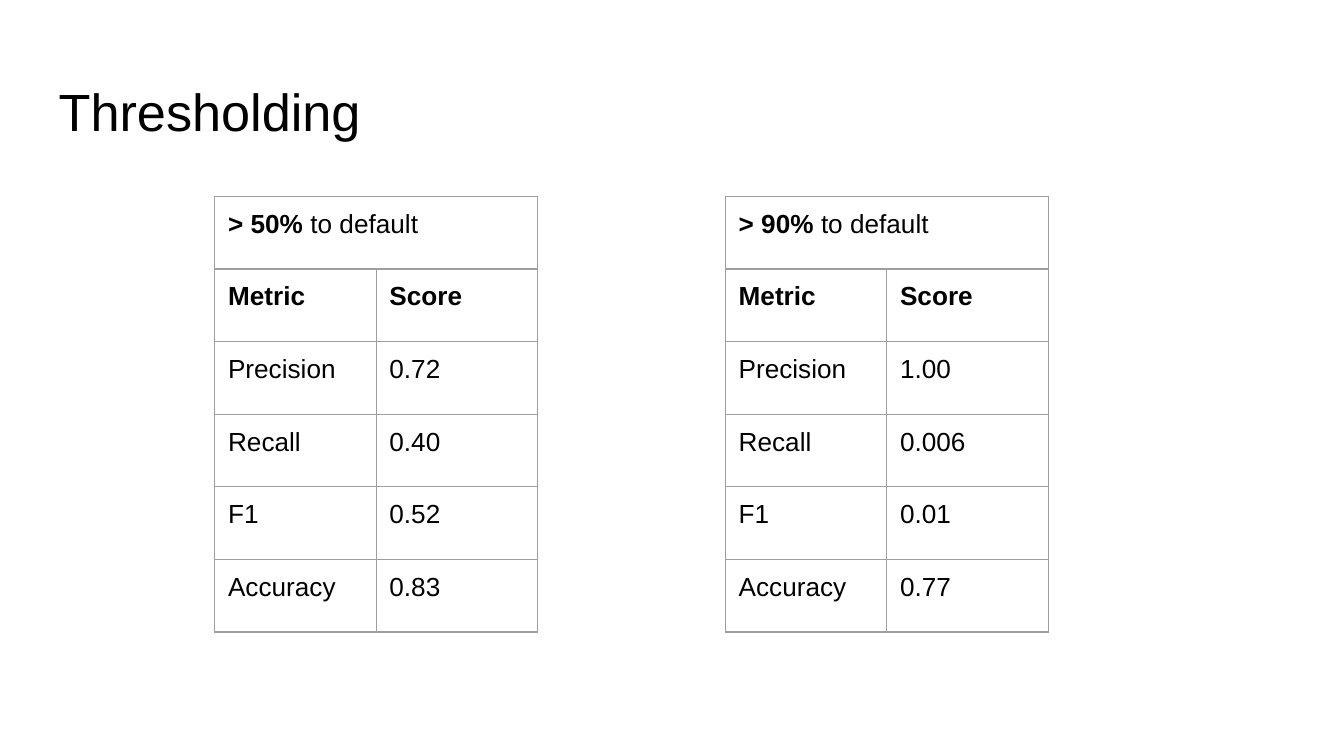
from dataclasses import dataclass

from lxml import etree
from pptx import Presentation
from pptx.dml.color import RGBColor
from pptx.oxml import ns
from pptx.util import Cm, Pt


@dataclass(frozen=True)
class Theme:
    font: str = "Arial"
    ink: str = "000000"
    rule: str = "9E9E9E"
    paper: str = "FFFFFF"
    title_size: int = 28
    body_size: int = 14
    rule_width: float = 0.75
    inset: float = 0.25


THEME = Theme()
METRICS = ("Precision", "Recall", "F1", "Accuracy")
SCORES = {
    "> 50% ": ("0.72", "0.40", "0.52", "0.83"),
    "> 90% ": ("1.00", "0.006", "0.01", "0.77"),
}


def add_text(frame, content, *, size=THEME.body_size, bold=False, color=THEME.ink):
    """Append a formatted run to the first paragraph of the frame."""
    run = frame.paragraphs[0].add_run()
    run.text = content
    run.font.name = THEME.font
    run.font.size = Pt(size)
    run.font.bold = bold
    run.font.color.rgb = RGBColor.from_string(color)


def set_insets(holder):
    """Give a text frame or table cell the same margin on every side."""
    for side in ("left", "right", "top", "bottom"):
        setattr(holder, f"margin_{side}", Cm(THEME.inset))


def rule_cell(cell):
    properties = cell._tc.get_or_add_tcPr()
    for edge in ("lnL", "lnR", "lnT", "lnB"):
        line = etree.SubElement(properties, ns.qn(f"a:{edge}"), w=str(Pt(THEME.rule_width)))
        fill = etree.SubElement(line, ns.qn("a:solidFill"))
        etree.SubElement(fill, ns.qn("a:srgbClr"), val=THEME.rule)


def add_title(slide, title, left, top, width, height):
    heading = slide.shapes.add_textbox(Cm(left), Cm(top), Cm(width), Cm(height)).text_frame
    heading.word_wrap = True
    set_insets(heading)
    add_text(heading, title, size=THEME.title_size)


def add_score_table(slide, threshold, scores, left, top, width, height):
    rows = [("", ""), ("Metric", "Score"), *zip(METRICS, scores)]
    table = slide.shapes.add_table(
        len(rows), 2, Cm(left), Cm(top), Cm(width), Cm(height)
    ).table
    table.first_row = table.horz_banding = False
    for row, entries in enumerate(rows):
        for column, entry in enumerate(entries):
            cell = table.cell(row, column)
            set_insets(cell)
            rule_cell(cell)
            cell.fill.solid()
            cell.fill.fore_color.rgb = RGBColor.from_string(THEME.paper)
            if entry:
                add_text(cell.text_frame, entry, bold=row == 1)

    caption = table.cell(0, 0)
    caption.merge(table.cell(0, 1))
    add_text(caption.text_frame, threshold, bold=True)
    add_text(caption.text_frame, "to default")


def main():
    deck = Presentation()
    deck.slide_width, deck.slide_height = Cm(25.4), Cm(14.29)
    slide = deck.slides.add_slide(deck.slide_layouts[6])
    add_title(slide, "Thresholding", 0.86, 1.24, 23.67, 1.6)
    for index, (threshold, scores) in enumerate(SCORES.items()):
        add_score_table(slide, threshold, scores, 4.06 + index * 9.65, 3.71, 6.1, 8.24)
    deck.save("out.pptx")


if __name__ == "__main__":
    main()
